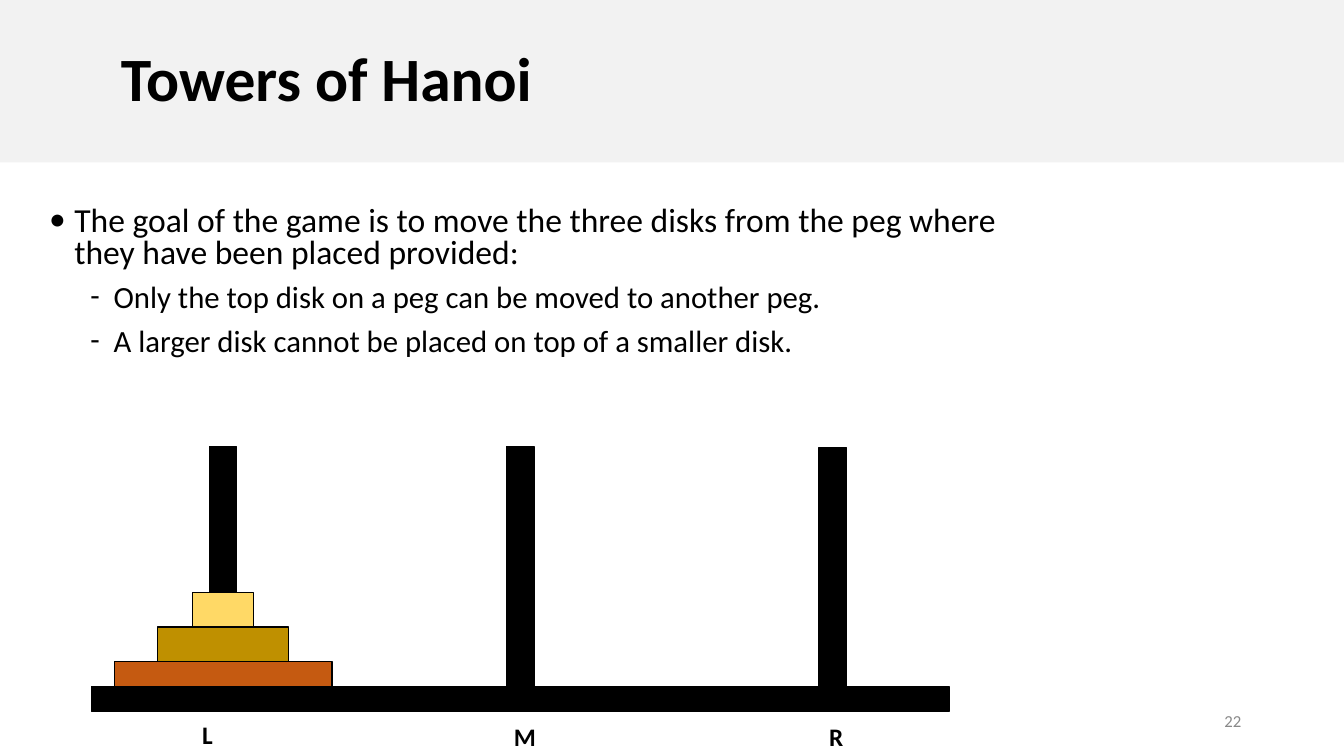
from lxml import etree
from pptx import Presentation
from pptx.dml.color import RGBColor
from pptx.enum.shapes import MSO_SHAPE
from pptx.enum.text import MSO_ANCHOR, MSO_AUTO_SIZE, PP_ALIGN
from pptx.oxml.ns import qn
from pptx.util import Inches, Pt

TITLE = "Towers of Hanoi"
# text, size, bullet, left indent in inches, hanging indent in inches
RULES = [
    ("The goal of the game is to move the three disks from the peg where "
     "they have been placed provided:", 24, "•", 0.25, 0.25),
    ("Only the top disk on a peg can be moved to another peg.", 22, "-", 0.64, 0.23),
    ("A larger disk cannot be placed on top of a smaller disk.", 22, "-", 0.64, 0.23),
]
PAGE = "22"

# All lengths below are percentages of the slide's width and height.
TITLE_BAND = (0, 0, 100, 21.47)
RULES_AREA = (2.92, 26.67, 74.96, 22)
PAGE_AREA = (70.61, 92.67, 22.49, 5.33)
BASE = (6.82, 90.8, 63.79, 3.33)
PEG_WIDTH, PEG_HEIGHT = 2.02, 33.47
LABEL_WIDTH, LABEL_HEIGHT = 4, 5.33
# peg centre, peg top, label, label centre, label top
PEGS = [
    (16.6, 59.07, "L", 15.44, 94.53),
    (38.72, 59.07, "M", 39.06, 94.8),
    (61.96, 59.2, "R", 62.22, 94.8),
]
# width, height, colour, from the bottom up
DISKS = [(16.19, 3.33, "C55A11"), (9.75, 4.53, "BF9000"), (4.57, 4.53, "FFD966")]

presentation = Presentation()
presentation.slide_width, presentation.slide_height = Inches(13.34), Inches(7.5)
slide = presentation.slides.add_slide(presentation.slide_layouts[5])


def color(value):
    return RGBColor.from_string(value)


def area(left, top, width, height):
    """Turn percentages of the slide into lengths."""
    sides = (presentation.slide_width, presentation.slide_height) * 2
    return [int(side * share / 100)
            for side, share in zip(sides, (left, top, width, height))]


def set_all(target, values):
    for name, value in values.items():
        setattr(target, name, value)


def write(paragraph, text, size, font_color="000000", bold=False,
          align=PP_ALIGN.LEFT):
    paragraph.text = text
    paragraph.alignment = align
    set_all(paragraph.font, {"name": "Calibri", "size": Pt(size), "bold": bold})
    paragraph.font.color.rgb = color(font_color)


def add_bullet(paragraph, mark, left, hanging):
    properties = paragraph._p.get_or_add_pPr()
    properties.set("marL", str(Inches(left)))
    properties.set("indent", str(-Inches(hanging)))
    etree.SubElement(properties, qn("a:buFont")).set("typeface", "Calibri")
    etree.SubElement(properties, qn("a:buChar")).set("char", mark)


def add_text_frame(place, anchor=MSO_ANCHOR.TOP):
    frame = slide.shapes.add_textbox(*area(*place)).text_frame
    set_all(frame, {"word_wrap": True, "vertical_anchor": anchor})
    return frame


def add_block(place, fill):
    block = slide.shapes.add_shape(MSO_SHAPE.RECTANGLE, *area(*place))
    block.shadow.inherit = False
    block.fill.solid()
    block.fill.fore_color.rgb = color(fill)
    block.line.color.rgb = color("000000")
    block.line.width = Pt(1)


title = slide.shapes.title
set_all(title, dict(zip(("left", "top", "width", "height"), area(*TITLE_BAND))))
title.fill.solid()
title.fill.fore_color.rgb = color("F2F2F2")
set_all(title.text_frame, {
    "margin_left": Inches(1.2), "vertical_anchor": MSO_ANCHOR.MIDDLE,
    "auto_size": MSO_AUTO_SIZE.NONE, "word_wrap": True})
heading = title.text_frame.paragraphs[0]
write(heading, TITLE, 44, bold=True)
heading.line_spacing = 0.9

rules_frame = add_text_frame(RULES_AREA)
for index, (text, size, mark, left, hanging) in enumerate(RULES):
    paragraph = rules_frame.add_paragraph() if index else rules_frame.paragraphs[0]
    add_bullet(paragraph, mark, left, hanging)
    write(paragraph, text, size)
    set_all(paragraph, {"line_spacing": 0.8, "space_before": Pt(10 if index else 0)})

page_frame = add_text_frame(PAGE_AREA, MSO_ANCHOR.MIDDLE)
write(page_frame.paragraphs[0], PAGE, 12, "898989", align=PP_ALIGN.RIGHT)

for center, top, label, label_center, label_top in PEGS:
    add_block((center - PEG_WIDTH / 2, top, PEG_WIDTH, PEG_HEIGHT), "000000")
    label_frame = add_text_frame(
        (label_center - LABEL_WIDTH / 2, label_top, LABEL_WIDTH, LABEL_HEIGHT))
    write(label_frame.paragraphs[0], label, 18, bold=True, align=PP_ALIGN.CENTER)

add_block(BASE, "000000")
first_peg_center, disk_bottom = PEGS[0][0], BASE[1]
for width, height, fill in DISKS:
    disk_bottom -= height
    add_block((first_peg_center - width / 2, disk_bottom, width, height), fill)

presentation.save("out.pptx")
